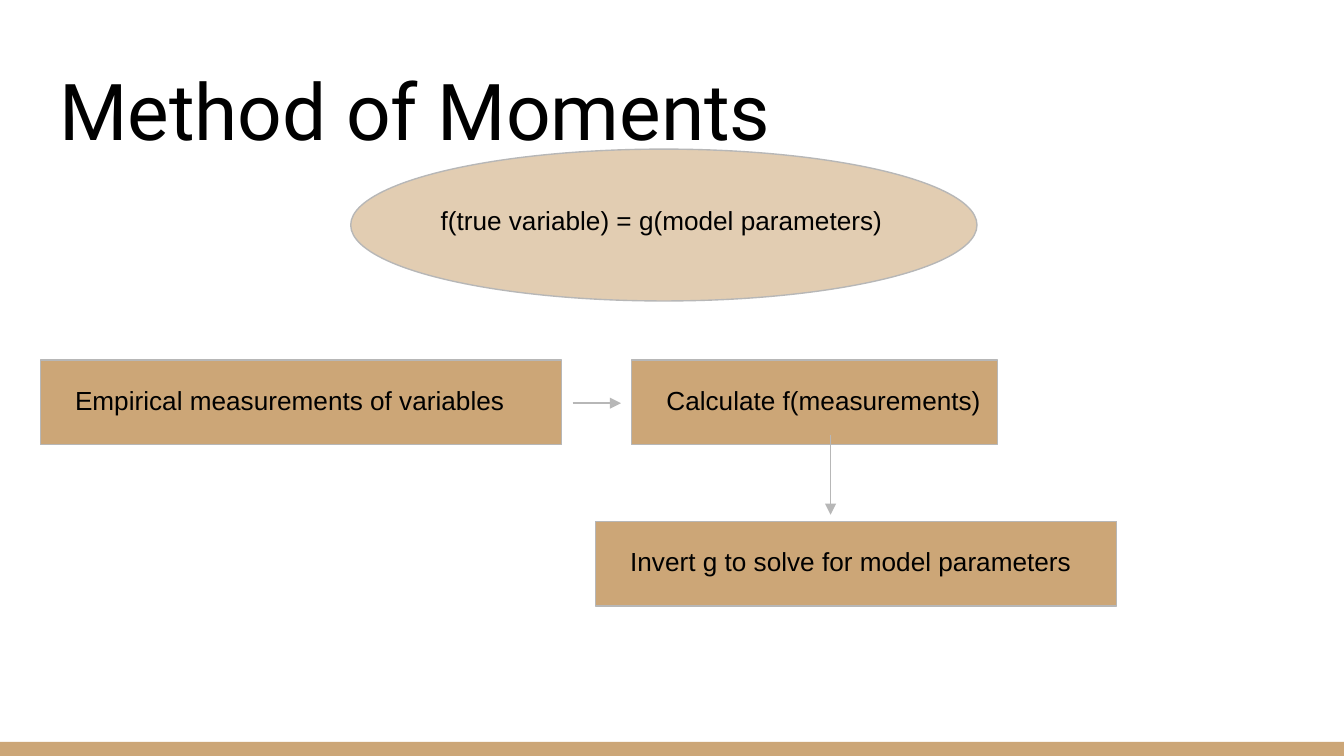
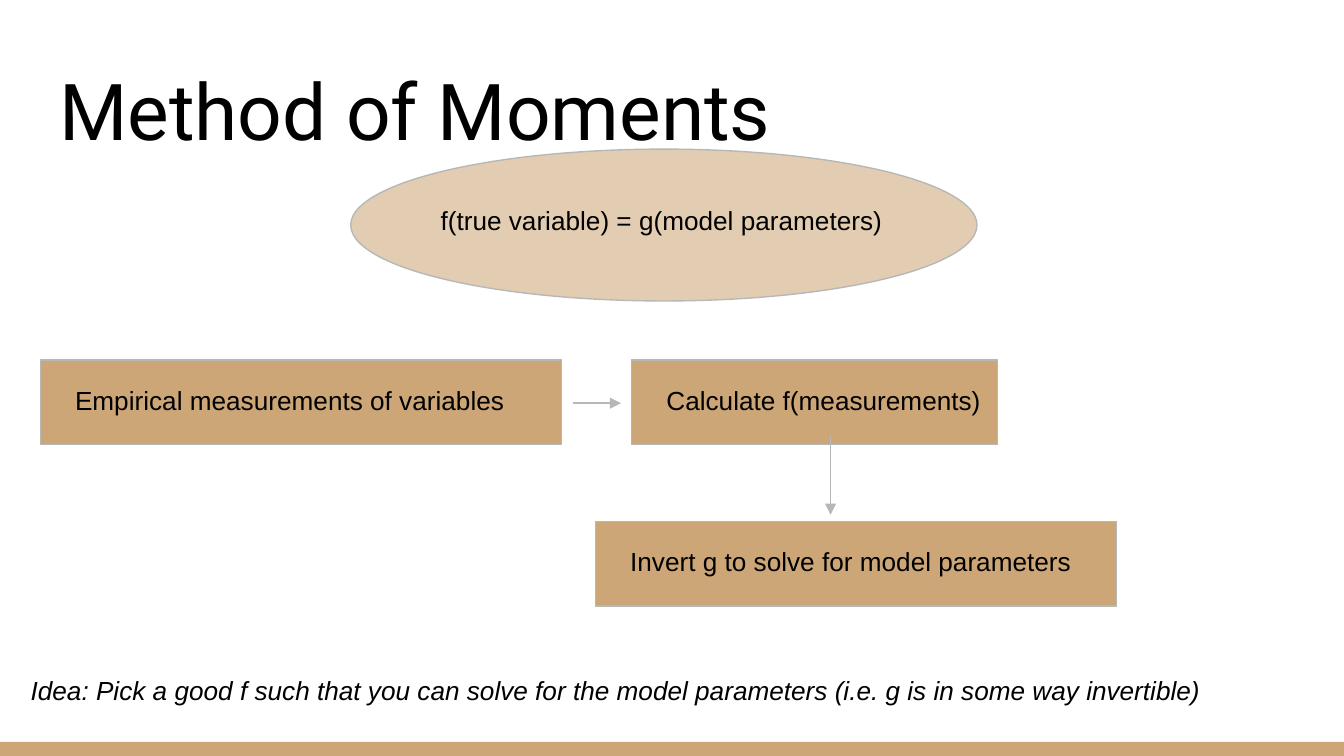
from typing import NamedTuple

from lxml import etree
from pptx import Presentation
from pptx.dml.color import RGBColor
from pptx.enum.shapes import MSO_CONNECTOR, MSO_SHAPE
from pptx.enum.text import MSO_ANCHOR, MSO_AUTO_SIZE, PP_ALIGN
from pptx.oxml.ns import qn
from pptx.util import Inches, Pt

RECT, OVAL = MSO_SHAPE.RECTANGLE, MSO_SHAPE.OVAL
STRAIGHT = MSO_CONNECTOR.STRAIGHT
TOP, BOTTOM = MSO_ANCHOR.TOP, MSO_ANCHOR.BOTTOM
LEFT = PP_ALIGN.LEFT
NO_AUTOFIT = MSO_AUTO_SIZE.NONE

TAN = RGBColor(0xCC, 0xA6, 0x77)
GREY = RGBColor(0xB7, 0xB7, 0xB7)
BLACK = RGBColor(0, 0, 0)

LINE_WIDTH = Pt(0.75)
INSET = Inches(0.1)
LABEL_HEIGHT = 0.48
STEP_HEIGHT = 0.63
STEP_LABEL_OFFSET = (0.16, 0.08)


class Node(NamedTuple):
    """A filled shape with its label; sizes in inches."""
    text: str
    left: float
    top: float
    width: float
    height: float = STEP_HEIGHT
    label_width: float = 3.81
    label_offset: tuple[float, float] = STEP_LABEL_OFFSET
    kind: int = RECT
    opacity: int = 100


class Arrow(NamedTuple):
    x1: float
    y1: float
    x2: float
    y2: float


TITLE = "Method of Moments"
IDEA = ("Idea: Pick a good f such that you can solve for the model parameters "
        "(i.e. g is in some way invertible)")
NODES = [
    Node("f(true variable) = g(model parameters)", 2.61, 1.11, 4.66, height=1.13,
         label_offset=(0.57, 0.31), kind=OVAL, opacity=56),
    Node("Empirical measurements of variables", 0.3, 2.68, 3.88),
    Node("Calculate f(measurements)", 4.7, 2.68, 2.72, label_width=2.65),
    Node("Invert g to solve for model parameters", 4.43, 3.88, 3.88),
]
ARROWS = [Arrow(4.26, 3, 4.62, 3), Arrow(6.18, 3.24, 6.18, 3.83)]


def set_text(sp, text: str, *, size: float = 14, font: str = "Arial",
             italic: bool = False, anchor=TOP) -> None:
    tf = sp.text_frame
    tf.word_wrap = True
    tf.auto_size = NO_AUTOFIT
    tf.vertical_anchor = anchor
    tf.margin_left = tf.margin_right = tf.margin_top = tf.margin_bottom = INSET
    p = tf.paragraphs[0]
    p.alignment = LEFT
    r = p.add_run()
    r.text = text
    r.font.size = Pt(size)
    r.font.name = font
    r.font.italic = italic
    r.font.color.rgb = BLACK


def add_text(shapes, text: str, left: float, top: float, width: float,
             height: float, **fmt) -> None:
    sp = shapes.add_textbox(Inches(left), Inches(top), Inches(width), Inches(height))
    set_text(sp, text, **fmt)


def add_filled(shapes, kind: int, left: float, top: float, width: float,
               height: float, *, outlined: bool = True, opacity: int = 100) -> None:
    sp = shapes.add_shape(kind, Inches(left), Inches(top), Inches(width), Inches(height))
    sp.shadow.inherit = False
    sp.fill.solid()
    sp.fill.fore_color.rgb = TAN
    if opacity < 100:
        color = sp.fill._xPr.find(qn("a:solidFill"))[0]
        etree.SubElement(color, qn("a:alpha"), val=str(opacity * 1000))
    if outlined:
        sp.line.color.rgb = GREY
        sp.line.width = LINE_WIDTH
    else:
        sp.line.fill.background()


def add_node(slide, node: Node) -> None:
    shapes = slide.shapes.add_group_shape().shapes
    add_filled(shapes, node.kind, node.left, node.top, node.width, node.height,
               opacity=node.opacity)
    dx, dy = node.label_offset
    add_text(shapes, node.text, node.left + dx, node.top + dy,
             node.label_width, LABEL_HEIGHT)


def add_arrow(slide, arrow: Arrow) -> None:
    c = slide.shapes.add_connector(STRAIGHT, *(Inches(v) for v in arrow))
    c.line.color.rgb = GREY
    c.line.width = LINE_WIDTH
    ln = c.line._get_or_add_ln()
    etree.SubElement(ln, qn("a:tailEnd"), type="triangle")
    etree.SubElement(ln.getparent(), qn("a:effectLst"))


def add_moments_slide(prs, idea: str = "") -> None:
    """Add the title, band and flow diagram, with an optional closing idea."""
    slide = prs.slides.add_slide(prs.slide_layouts[5])
    add_filled(slide.shapes, RECT, 0, 5.52, 10, 0.11, outlined=False)
    title = slide.shapes.title
    title.left, title.top = Inches(0.34), Inches(0.35)
    title.width, title.height = Inches(9.32), Inches(0.91)
    set_text(title, TITLE, size=42, font="Roboto", anchor=BOTTOM)
    for node in NODES:
        add_node(slide, node)
    for arrow in ARROWS:
        add_arrow(slide, arrow)
    if idea:
        add_text(slide.shapes, idea, 0.13, 4.92, 9.06, 0.36, italic=True)


def main() -> None:
    prs = Presentation()
    prs.slide_width, prs.slide_height = Inches(10), Inches(5.625)
    add_moments_slide(prs)
    add_moments_slide(prs, idea=IDEA)
    prs.save("out.pptx")


if __name__ == "__main__":
    main()
